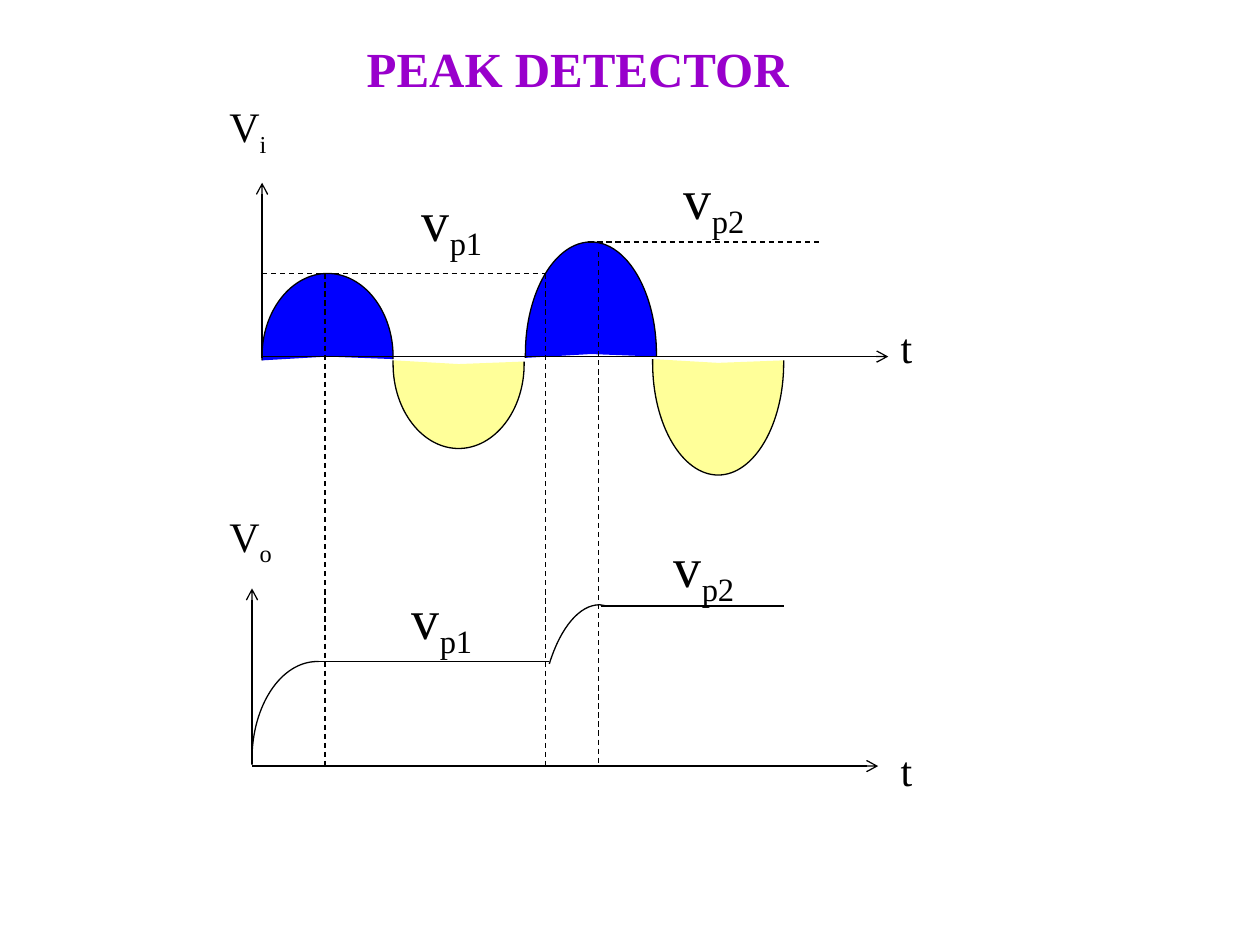
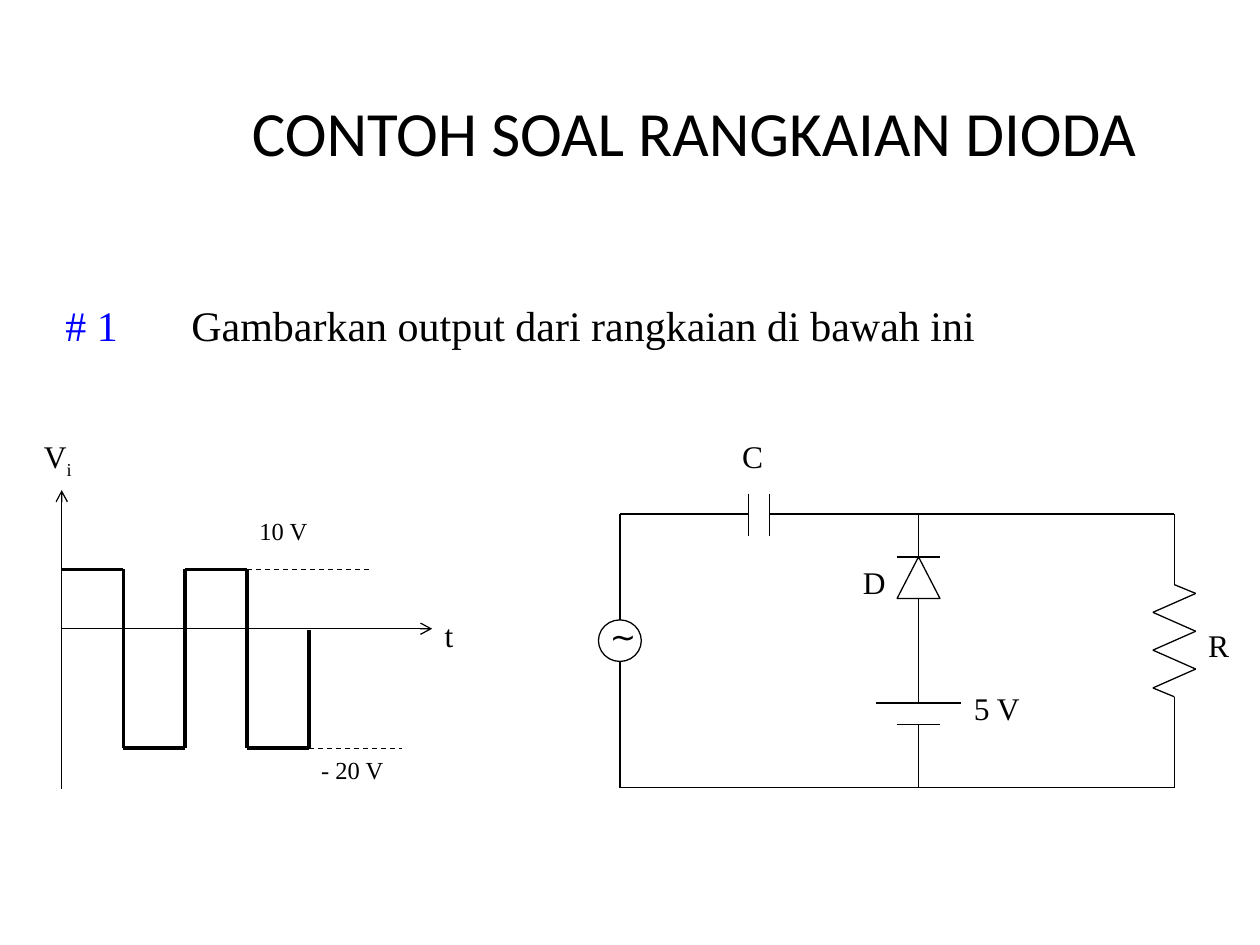
from copy import deepcopy
from dataclasses import dataclass
from itertools import pairwise

from lxml.etree import SubElement
from pptx import Presentation
from pptx.dml.color import RGBColor
from pptx.enum.dml import MSO_LINE_DASH_STYLE as Dash
from pptx.enum.shapes import MSO_CONNECTOR as Connector, MSO_SHAPE as Shape
from pptx.enum.text import MSO_ANCHOR as Anchor, PP_ALIGN as Align
from pptx.oxml.ns import qn
from pptx.util import Inches, Pt


@dataclass(frozen=True)
class Theme:
    black: str = "000000"
    white: str = "FFFFFF"
    blue: str = "0000FF"
    yellow: str = "FFFF99"
    purple: str = "9900CC"
    serif: str = "Times New Roman"
    sans: str = "Calibri"
    symbol: str = "Arial"
    heading: int = 36
    subheading: int = 28
    peak: int = 32
    large: int = 24
    normal: int = 18
    small: int = 14
    thin: float = 0.75
    thick: float = 2.25


THEME = Theme()


class Sketch:
    """Draws styled elements on the current slide."""

    def __init__(self, deck, theme):
        self.deck, self.theme, self.page = deck, theme, None

    def new_page(self, title, frame, size, font, color, bold=False):
        self.page = self.deck.slides.add_slide(self.deck.slide_layouts[5])
        box = self.page.shapes.title
        box.left, box.top, box.width, box.height = map(Inches, frame)
        box.text_frame.text = title
        box.text_frame.vertical_anchor = Anchor.MIDDLE
        para = box.text_frame.paragraphs[0]
        para.alignment = Align.CENTER
        self.format(para.runs[0], size, color, font, bold)

    def format(self, span, size, color, font, bold=False):
        span.font.size, span.font.name, span.font.bold = Pt(size), font, bold
        span.font.color.rgb = RGBColor.from_string(color)

    def label(self, text, frame, size, sub="", indent=0, font=None):
        box = self.page.shapes.add_textbox(*map(Inches, frame))
        box.text_frame.word_wrap = True
        box.text_frame.margin_left = Inches(0.1 + indent)
        box.text_frame.text = text
        para = box.text_frame.paragraphs[0]
        if sub:
            span = para.add_run()
            span.text = sub
            span._r.get_or_add_rPr().set("baseline", "-25000")
        for span in para.runs:
            self.format(span, size, self.theme.black, font or self.theme.serif)
        return para

    def outline(self, shape, weight=None):
        shape.line.color.rgb = RGBColor.from_string(self.theme.black)
        shape.line.width = Pt(weight or self.theme.thin)

    def fill(self, shape, color):
        shape.shadow.inherit = False
        if color:
            shape.fill.solid()
            shape.fill.fore_color.rgb = RGBColor.from_string(color)
        else:
            shape.fill.background()

    def line(self, start, end, weight=None, dashed=False, arrow=False):
        link = self.page.shapes.add_connector(
            Connector.STRAIGHT, *map(Inches, (*start, *end)))
        self.outline(link, weight)
        if dashed:
            link.line.dash_style = Dash.DASH
        if arrow:
            SubElement(link.line._get_or_add_ln(), qn("a:tailEnd"), type="arrow")
        SubElement(link._element.spPr, qn("a:effectLst"))

    def wire(self, *points, weight=None):
        for start, end in pairwise(points):
            self.line(start, end, weight)

    def shape(self, kind, left, top, width, height, color=None):
        shape = self.page.shapes.add_shape(
            kind, *map(Inches, (left, top, width, height)))
        self.fill(shape, color)
        self.outline(shape)

    def curve(self, points, center, color=None):
        """Open Bezier outline over a filled sector that closes at the center."""
        first, *rest = [(Inches(x), Inches(y)) for x, y in [*points, center]]
        builder = self.page.shapes.build_freeform(*first)
        builder.add_line_segments(rest, close=True)
        shape = builder.convert_to_shape()
        self.fill(shape, color)
        self.outline(shape)

        # Every three points of the curve become one Bezier segment
        sector = next(shape._element.iter(qn("a:path")))
        steps = sector.findall(qn("a:lnTo"))[:-1]
        for i in range(0, len(steps), 3):
            steps[i].tag = qn("a:cubicBezTo")
            for step in steps[i + 1:i + 3]:
                steps[i].append(step[0])
                sector.remove(step)

        # The stroked path leaves out the two sides of the sector
        stroke = deepcopy(sector)
        for part in stroke[-2:]:
            stroke.remove(part)
        stroke.set("fill", "none")
        sector.set("stroke", "0")
        sector.addprevious(stroke)

    def lobe(self, x, base, height, color):
        """Half wave; a negative height hangs below the base."""
        radius, bend = 0.52, 0.55
        tail = 0.01 if height > 0 else -0.01
        left, right, peak = x - radius, x + radius, base - height
        shoulder = base - bend * height
        points = [
            (right, base + 2 * tail), (right, base + tail), (right, base), (right, base),
            (right, shoulder), (x + bend * radius, peak), (x, peak),
            (x - bend * radius, peak), (left, shoulder), (left, base),
            (left, base + tail), (left, base + 2 * tail), (left, base + 3 * tail)]
        self.curve(points, (x, base), color)


def peak_detector(sketch):
    theme = sketch.theme
    sketch.new_page("PEAK DETECTOR", (2.5, 0.25, 4.17, 0.58),
                    theme.subheading, theme.serif, theme.purple, bold=True)

    # Input wave
    for x, base, height, color in (
            (3.64, 2.89, -0.67, theme.yellow), (2.6, 2.83, 0.66, theme.blue),
            (4.69, 2.81, 0.89, theme.blue), (5.7, 2.88, -0.89, theme.yellow)):
        sketch.lobe(x, base, height, color)

    # Peak levels and moments
    for x, top in ((2.58, 2.17), (4.33, 2.17), (4.75, 2)):
        sketch.line((x, top), (x, 6.08), dashed=True)
    for left, right, y in ((2.08, 4.33, 2.17), (4.67, 6.5, 1.92)):
        sketch.line((left, y), (right, y), dashed=True)

    # Axes
    for x, base, start, top in ((2.08, 2.83, 2.84, 1.45), (2, 6.08, 6.06, 4.67)):
        sketch.line((x, start), (x, top), arrow=True)
        sketch.line((x, base), (x + 4.97, base), arrow=True)

    # Output wave
    sketch.curve([(2.53, 5.25), (2.53, 5.25), (2.52, 5.25), (2.52, 5.25),
                  (2.23, 5.25), (2, 5.6), (2, 6.03),
                  (2, 6.05), (2, 6.06), (2, 6.07)], (2.52, 6.03))
    sketch.line((2.5, 5.25), (4.36, 5.25))
    sketch.curve([(4.82, 4.81), (4.8, 4.81), (4.78, 4.8), (4.76, 4.8),
                  (4.6, 4.8), (4.45, 4.98), (4.36, 5.27)], (4.76, 6.04))
    sketch.line((4.77, 4.81), (6.22, 4.81))

    # Labels
    for sub, top in (("i", 0.75), ("o", 4)):
        sketch.label("V", (1.67, top, 0.83, 0.7), theme.large, sub, indent=0.05)
    for top in (2.5, 5.86):
        sketch.label("t", (7.05, top, 0.62, 0.7), theme.large)
    for sub, left, top in (("p1", 3.25, 1.42), ("p2", 5.33, 1.25),
                           ("p1", 3.17, 4.58), ("p2", 5.25, 4.17)):
        sketch.label("v", (left, top, 0.83, 0.71), theme.peak, sub)


def square_wave(sketch):
    theme = sketch.theme
    left, step, high, zero, low = 0.49, 0.49, 4.52, 4.99, 5.94
    sketch.line((left, 6.26), (left, 3.89), arrow=True)
    sketch.line((left, zero), (left + 6 * step, zero), arrow=True)
    corners = []
    for i, level in enumerate((high, low, high, low)):
        corners += [(left + i * step, level), (left + (i + 1) * step, level)]
    sketch.wire(*corners, (left + 4 * step, 5), weight=theme.thick)
    sketch.line((left + 3 * step, high), (2.94, high), dashed=True)
    sketch.line((left + 4 * step, low), (3.19, low), dashed=True)
    sketch.label("V", (0.25, 3.42, 0.98, 0.47), theme.normal, "i")
    sketch.label("t", (3.43, 4.84, 0.48, 0.47), theme.normal)
    sketch.label("10 V", (1.96, 4.05, 1.22, 0.47), theme.small)
    sketch.label("- 20 V", (2.45, 5.94, 1.47, 0.47), theme.small)


def circuit(sketch):
    theme = sketch.theme
    top, bottom = 4.08, 6.25
    source, diode, resistor = 4.92, 7.29, 9.32

    # Source and outer wires
    sketch.shape(Shape.OVAL, source - 0.17, 4.92, 0.34, 0.33, theme.white)
    sketch.label("∼", (4.67, 4.85, 0.68, 0.67), theme.normal,
                 indent=0.07, font=theme.symbol)
    sketch.wire((source, 4.92), (source, 4.42), (source, top), (5.6, top), (5.94, top))
    sketch.wire((source, 5.25), (source, 5.75), (source, bottom), (resistor, bottom))

    # Capacitor
    for x in (5.94, 6.11):
        sketch.line((x, 3.92), (x, 4.25))
    sketch.wire((6.11, top), (6.45, top), (resistor, top))

    # Diode and battery
    sketch.line((diode, top), (diode, 4.42))
    sketch.shape(Shape.ISOSCELES_TRIANGLE, diode - 0.17, 4.42, 0.34, 0.33)
    sketch.wire((diode, 4.75), (diode, 5.08), (diode, 5.58))
    for y, half in ((4.42, 0.17), (4.75, 0.17), (5.58, 0.34), (5.75, 0.17)):
        sketch.line((diode - half, y), (diode + half, y))
    sketch.line((diode, 5.75), (diode, bottom))

    # Resistor
    zigzag = [(resistor + 0.17 * (-1) ** i, 4.71 + 0.15 * i) for i in range(6)]
    sketch.wire((resistor, top), (resistor, 4.42), (resistor, 4.64), *zigzag,
                (resistor, 5.53), (resistor, 5.75), (resistor, bottom))

    # Part names
    sketch.label("C", (5.6, 3.42, 0.85, 0.5), theme.normal, indent=0.19)
    for text, left, y, width in (("D", 6.75, 4.42, 0.68), ("5 V", 7.63, 5.42, 0.68),
                                 ("R", 9.49, 4.92, 0.51)):
        sketch.label(text, (left, y, width, 0.5), theme.normal)


def diode_exercise(sketch):
    theme = sketch.theme
    sketch.new_page("CONTOH SOAL RANGKAIAN DIODA", (1.25, 0.67, 8.52, 0.75),
                    theme.heading, theme.sans, theme.black)

    # Question, with its number set off by a tab
    question = sketch.label("# 1\t", (0.42, 2.33, 7.92, 0.5), theme.large)
    tabs = SubElement(question._p.get_or_add_pPr(), qn("a:tabLst"))
    SubElement(tabs, qn("a:tab"), pos=str(Inches(1)), algn="l")
    sketch.format(question.runs[0], theme.large, theme.blue, theme.serif)
    span = question.add_run()
    span.text = "Gambarkan output dari rangkaian di bawah ini"
    sketch.format(span, theme.large, theme.black, theme.serif)

    square_wave(sketch)
    circuit(sketch)


def main():
    deck = Presentation()
    deck.slide_width, deck.slide_height = Inches(10), Inches(7.5)
    sketch = Sketch(deck, THEME)
    peak_detector(sketch)
    diode_exercise(sketch)
    deck.save("out.pptx")


if __name__ == "__main__":
    main()
